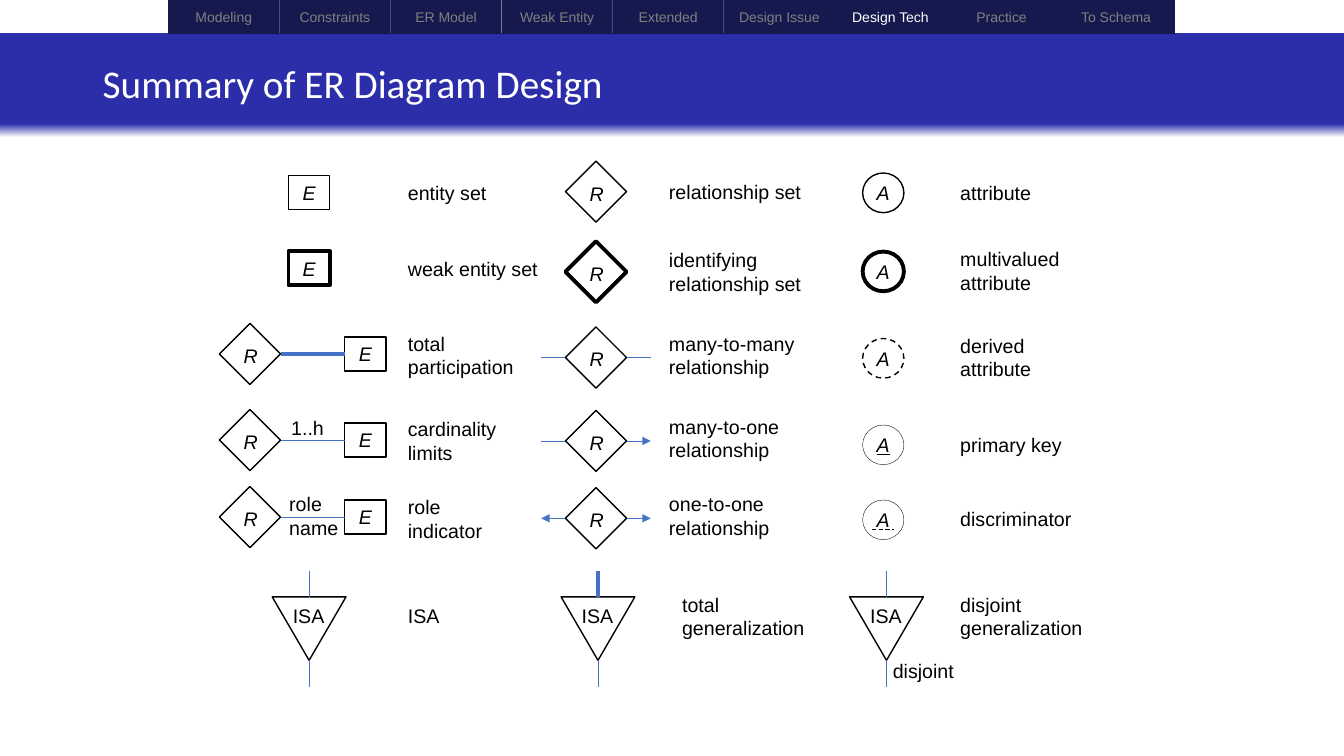
from dataclasses import dataclass

from lxml import etree
from pptx import Presentation
from pptx import util as u
from pptx.dml import color
from pptx.enum import dml, shapes, text
from pptx.oxml import ns


def rgb(value):
    return color.RGBColor.from_string(value)


def assign(obj, values):
    for name, value in values.items():
        setattr(obj, name, value)


@dataclass(frozen=True)
class Theme:
    banner: str = "2C2DA9"
    tab: str = "16194D"
    muted: str = "808080"
    white: str = "FFFFFF"
    ink: str = "000000"
    link: str = "4472C4"
    title_font: str = "Calibri"
    body_font: str = "Arial"
    title_size: float = 28
    body_size: float = 14
    tab_size: float = 10
    thin: float = 0.5
    normal: float = 1
    heavy: float = 2.75
    hair: float = 0.25


class Diagram:
    def __init__(self, slide, theme):
        self.slide, self.theme = slide, theme
        self.shapes = slide.shapes

    def begin_group(self):
        self.shapes = self.slide.shapes.add_group_shape().shapes

    def end_group(self):
        self.shapes = self.slide.shapes

    def set_words(self, sp, words, frame=None, para=None, ink=None, **font):
        tf = sp.text_frame
        tf.text = words
        assign(tf, {"vertical_anchor": text.MSO_ANCHOR.MIDDLE, **(frame or {})})
        style = {"name": self.theme.body_font, "size": u.Pt(self.theme.body_size), **font}
        for p in tf.paragraphs:
            assign(p, para or {})
            for r in p.runs:
                assign(r.font, style)
                r.font.color.rgb = rgb(ink or self.theme.ink)

    def box(self, kind, x, y, w, h, fill=None, line=None):
        sp = self.shapes.add_shape(kind, u.Cm(x), u.Cm(y), u.Cm(w), u.Cm(h))
        sp.shadow.inherit = False
        if fill:
            sp.fill.solid()
            sp.fill.fore_color.rgb = rgb(fill)
        else:
            sp.fill.background()
        if line:
            sp.line.color.rgb = rgb(self.theme.ink)
            sp.line.width = u.Pt(line)
        else:
            sp.line.fill.background()
        return sp

    def label(self, x, cy, w, words, **font):
        h = 1.45 if "\n" in words else 0.86
        sp = self.shapes.add_textbox(u.Cm(x), u.Cm(cy - h / 2), u.Cm(w), u.Cm(h))
        frame = {"word_wrap": False, "auto_size": text.MSO_AUTO_SIZE.SHAPE_TO_FIT_TEXT}
        self.set_words(sp, words, frame, **font)

    def link(self, x1, y1, x2, y2, width, arrow=False):
        s = self.shapes.add_connector(shapes.MSO_CONNECTOR.STRAIGHT,
                                      u.Cm(x1), u.Cm(y1), u.Cm(x2), u.Cm(y2))
        s.line.color.rgb = rgb(self.theme.link)
        s.line.width = u.Pt(width)
        if arrow:
            ln = s._element.spPr.find(ns.qn("a:ln"))
            etree.SubElement(ln, ns.qn("a:tailEnd"), type="triangle")
        etree.SubElement(s._element.spPr, ns.qn("a:effectLst"))
        return s

    def banner(self, words):
        sp = self.box(shapes.MSO_SHAPE.RECTANGLE, 0, 0.84, 33.87, 2.62)
        sp.fill.gradient()
        sp.fill.gradient_angle = 90
        stops = ((0, self.theme.white), (0.13, self.theme.banner))
        for stop, (position, tint) in zip(sp.fill.gradient_stops, stops):
            stop.position = position
            stop.color.rgb = rgb(tint)
        title = self.shapes.add_textbox(u.Cm(2.34), u.Cm(1), u.Cm(29.21), u.Cm(2.34))
        self.set_words(title, words, {"word_wrap": True}, {"line_spacing": 0.9}, self.theme.white,
                       name=self.theme.title_font, size=u.Pt(self.theme.title_size))

    def tabs(self, names, current):
        for i, name in enumerate(names):
            w = 2.97 if i == len(names) - 1 else 2.8
            sp = self.box(shapes.MSO_SHAPE.RECTANGLE, 4.24 + 2.8 * i, 0, w, 0.86, self.theme.tab)
            ink = self.theme.white if name == current else self.theme.muted
            self.set_words(sp, name, {"margin_left": 0, "margin_right": 0},
                           {"alignment": text.PP_ALIGN.CENTER}, ink,
                           size=u.Pt(self.theme.tab_size))

    def entity(self, cx, cy, line):
        sp = self.box(shapes.MSO_SHAPE.RECTANGLE, cx - 0.52, cy - 0.43, 1.04, 0.86, line=line)
        self.set_words(sp, "E", para={"alignment": text.PP_ALIGN.CENTER}, italic=True)
        return sp

    def diamond(self, cx, cy, line):
        sp = self.box(shapes.MSO_SHAPE.DIAMOND, cx - 0.77, cy - 0.77, 1.54, 1.54, line=line)
        self.label(cx - 0.41, cy + 0.04, 0.86, "R", italic=True)
        return sp

    def attribute(self, cx, cy, line, words="A", underline=None, dashed=False):
        sp = self.box(shapes.MSO_SHAPE.OVAL, cx - 0.52, cy - 0.5, 1.04, 1, line=line)
        if dashed:
            sp.line.dash_style = dml.MSO_LINE.DASH
        frame = {"margin_left": 0, "margin_right": 0,
                 "margin_top": u.Cm(0.05), "margin_bottom": u.Cm(0.05)}
        self.set_words(sp, words, frame, {"alignment": text.PP_ALIGN.CENTER},
                       italic=True, underline=underline)

    def relationship(self, cx, cy, line, arrows=()):
        self.begin_group()
        sp = self.diamond(cx, cy, line)
        self.end_group()
        for side, site, arrow in zip((-1, 1), (1, 3), arrows):
            s = self.link(cx + side * 0.77, cy, cx + side * 1.38, cy, self.theme.thin, arrow)
            s.begin_connect(sp, site)

    def participation(self, cy, line, note=None):
        self.begin_group()
        relation = self.diamond(6.3, cy, self.theme.normal)
        entity = self.entity(9.21, cy, self.theme.normal)
        s = self.link(8.69, cy, 7.07, cy, line)
        s.begin_connect(entity, 1)
        s.end_connect(relation, 3)
        if note:
            self.label(*note)
        self.end_group()

    def isa(self, cx, stem):
        self.begin_group()
        sp = self.box(shapes.MSO_SHAPE.ISOSCELES_TRIANGLE, cx - 0.93, 15.04, 1.86, 1.6,
                      line=self.theme.normal)
        sp.rotation = 180
        self.label(cx - 0.66, 15.52, 1.32, "ISA")
        self.link(cx, 15.04, cx, 14.4, stem)
        self.link(cx, 17.32, cx, 16.64, self.theme.thin)
        self.end_group()


TABS = ("Modeling", "Constraints", "ER Model", "Weak Entity", "Extended",
        "Design Issue", "Design Tech", "Practice", "To Schema")

CAPTIONS = {
    10.03: ((4.85, 2.51, "entity set"), (6.76, 3.81, "weak entity set"),
            (8.95, 3.2, "total\nparticipation"), (11.11, 2.74, "cardinality\nlimits"),
            (13.07, 2.39, "role\nindicator"), (15.52, 1.32, "ISA")),
    16.61: ((4.83, 3.86, "relationship set"), (6.85, 3.86, "identifying\nrelationship set"),
            (8.95, 3.86, "many-to-many\nrelationship"), (11.04, 3.43, "many-to-one\nrelationship"),
            (13, 3.05, "one-to-one\nrelationship")),
    16.94: ((15.53, 3.61, "total\ngeneralization"),),
    23.95: ((4.85, 2.31, "attribute"), (6.82, 3.02, "multivalued\nattribute"),
            (9, 2.31, "derived\nattribute"), (11.2, 3.07, "primary key"),
            (13.08, 3.33, "discriminator"), (15.53, 3.61, "disjoint\ngeneralization")),
    22.25: ((16.89, 2.06, "disjoint"),),
}


def main():
    prs = Presentation()
    assign(prs, {"slide_width": u.Cm(33.87), "slide_height": u.Cm(19.05)})
    t = Theme()
    d = Diagram(prs.slides.add_slide(prs.slide_layouts[6]), t)
    d.banner("Summary of ER Diagram Design")
    d.tabs(TABS, "Design Tech")

    for cy, line in ((4.85, t.normal), (6.76, t.heavy)):
        d.entity(7.79, cy, line)
    d.participation(8.92, t.heavy)
    d.participation(11.09, t.thin, (7.09, 10.77, 1.35, "1..h"))
    d.participation(13.03, t.thin, (7.04, 12.99, 1.75, "role\nname"))

    for cy, line, arrows in ((4.83, t.normal, ()), (6.85, t.heavy, ()),
                             (9.01, t.normal, (False, False)),
                             (11.11, t.normal, (False, True)),
                             (13.06, t.normal, (True, True))):
        d.relationship(15.02, cy, line, arrows)

    d.attribute(22.26, 4.86, t.normal)
    d.attribute(22.26, 6.84, t.heavy)
    d.attribute(22.26, 9.03, t.normal, dashed=True)
    d.attribute(22.26, 11.21, t.hair, underline=True)
    d.attribute(22.26, 13.1, t.hair, " A ", text.MSO_UNDERLINE.DASH_LINE)

    for cx, stem in ((7.79, t.thin), (15.07, t.heavy), (22.34, 0.75)):
        d.isa(cx, stem)
    for x, captions in CAPTIONS.items():
        for cy, w, words in captions:
            d.label(x, cy, w, words)
    prs.save("out.pptx")


if __name__ == "__main__":
    main()
